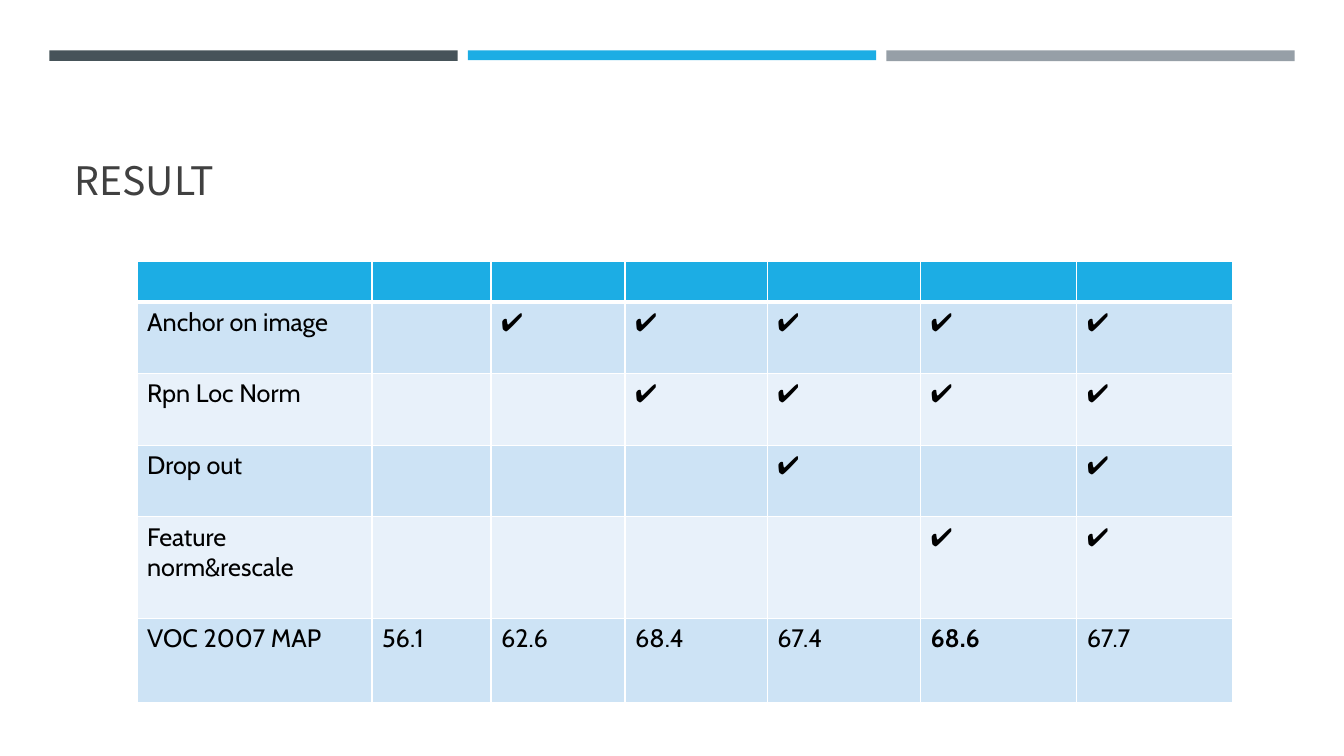
from dataclasses import dataclass

from pptx import Presentation
from pptx.dml.color import RGBColor
from pptx.enum.shapes import MSO_SHAPE as Shape
from pptx.enum.text import MSO_ANCHOR as Anchor, MSO_AUTO_SIZE as AutoSize, PP_ALIGN as Align
from pptx.oxml.ns import qn
from pptx.util import Inches, Pt
from lxml.etree import SubElement

SLIDE_WIDTH, SLIDE_HEIGHT = Inches(13.33), Inches(7.5)
HEADER_FILL = "1CADE4"
BAND_FILLS = ("CDE3F5", "E8F1FA")
COLUMN_SHARES = (17.48, 8.85, 9.98, 10.58, 11.4, 11.63, 11.63)
ROW_SHARES = (5.33, 9.47, 9.47, 9.47, 13.47, 11.07)
CHECK = "✔"
BEST_SCORE = "68.6"


@dataclass(frozen=True)
class Bar:
    fill: str
    height: float


@dataclass(frozen=True)
class ResultRow:
    label: str
    values: tuple[str, ...]


BARS = (Bar("465359", 1.37), Bar(HEADER_FILL, 1.3), Bar("969FA7", 1.43))


def checks(marks: str) -> tuple[str, ...]:
    """Turn a pattern such as '.x' into empty and checked cells."""
    return tuple(CHECK if mark == "x" else "" for mark in marks)


RESULTS = (
    ResultRow("", checks("......")),
    ResultRow("Anchor on image", checks(".xxxxx")),
    ResultRow("Rpn Loc Norm", checks("..xxxx")),
    ResultRow("Drop out", checks("...x.x")),
    ResultRow("Feature norm&rescale", checks("....xx")),
    ResultRow("VOC 2007 MAP", ("56.1", "62.6", "68.4", "67.4", BEST_SCORE, "67.7")),
)


def across(percent: float) -> int:
    return round(SLIDE_WIDTH * percent / 100)


def down(percent: float) -> int:
    return round(SLIDE_HEIGHT * percent / 100)


def color(value: str) -> RGBColor:
    return RGBColor.from_string(value)


def write(frame, text: str, *, font: str, size: float, fill: str, bold: bool = False) -> None:
    para = frame.paragraphs[0]
    para.alignment = Align.LEFT
    span = para.add_run()
    span.text = text
    span.font.name = font
    span.font.size = Pt(size)
    span.font.bold = bold
    span.font.color.rgb = color(fill)


def add_bar(page, index: int, bar: Bar) -> None:
    box = page.shapes.add_shape(
        Shape.RECTANGLE, across(3.68 + 31.14 * index), down(6.67), across(30.38), down(bar.height)
    )
    box.shadow.inherit = False
    box.fill.solid()
    box.fill.fore_color.rgb = color(bar.fill)
    box.line.fill.background()


def add_title(page) -> None:
    title = page.shapes.title
    title.left, title.top = across(4.8), down(10.27)
    title.width, title.height = across(90.47), down(17.33)
    frame = title.text_frame
    frame.auto_size = AutoSize.NONE
    frame.word_wrap = True
    frame.vertical_anchor = Anchor.BOTTOM
    write(frame, "RESULT", font="Noto Sans CJK KR", size=28, fill="404040")


def set_borders(cell, *, top: float, bottom: float) -> None:
    properties = cell._tc.get_or_add_tcPr()
    for side, width in (("L", 1), ("R", 1), ("T", top), ("B", bottom)):
        line = SubElement(properties, qn(f"a:ln{side}"), w=str(Pt(width)))
        SubElement(SubElement(line, qn("a:solidFill")), qn("a:srgbClr"), val="FFFFFF")


def add_results(page) -> None:
    frame = page.shapes.add_table(
        len(ROW_SHARES), len(COLUMN_SHARES),
        across(10.2), down(34.53), across(sum(COLUMN_SHARES)), down(sum(ROW_SHARES)),
    )
    table = frame.table
    for column, share in zip(table.columns, COLUMN_SHARES):
        column.width = across(share)
    for row_index, (row, share, result) in enumerate(zip(table.rows, ROW_SHARES, RESULTS)):
        row.height = down(share)
        row_fill = BAND_FILLS[(row_index - 1) % 2] if row_index else HEADER_FILL
        for cell, text in zip(row.cells, (result.label, *result.values)):
            set_borders(cell, top=3 if row_index == 1 else 1, bottom=1 if row_index else 3)
            cell.fill.solid()
            cell.fill.fore_color.rgb = color(row_fill)
            if text:
                write(cell.text_frame, text, font="Cabin", size=18, fill="000000",
                      bold=text == BEST_SCORE)


def main() -> None:
    deck = Presentation()
    deck.slide_width, deck.slide_height = SLIDE_WIDTH, SLIDE_HEIGHT
    page = deck.slides.add_slide(deck.slide_layouts.get_by_name("Title Only"))
    for index, bar in enumerate(BARS):
        add_bar(page, index, bar)
    add_title(page)
    add_results(page)
    deck.save("out.pptx")


if __name__ == "__main__":
    main()
